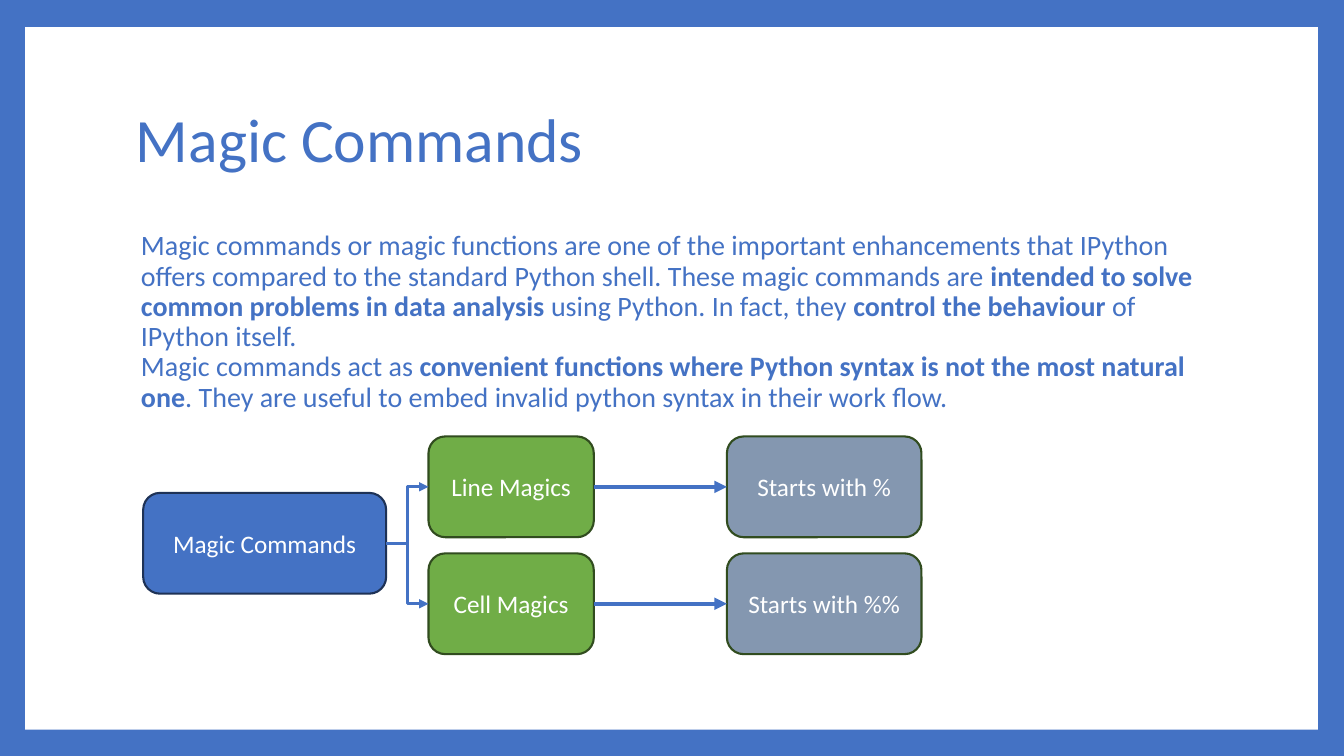
"""Build the Magic Commands slide: a title, an explanation and a small tree of command kinds."""
from lxml.etree import SubElement
from pptx import Presentation
from pptx.dml.color import RGBColor
from pptx.enum.shapes import MSO_CONNECTOR, MSO_SHAPE
from pptx.enum.text import MSO_ANCHOR, PP_ALIGN
from pptx.oxml.ns import qn
from pptx.util import Inches, Pt

TITLE = "Magic Commands"
BODY = [
    [
        ("Magic commands or magic functions are one of the important enhancements that IPython "
         "offers compared to the standard Python shell. These magic commands are ", False),
        ("intended to solve common problems in data analysis ", True),
        ("using Python. In fact, they ", False),
        ("control the behaviour ", True),
        ("of IPython itself. ", False),
    ],
    [
        ("Magic commands act as ", False),
        ("convenient functions where Python syntax is not the most natural one", True),
        (". They are useful to embed invalid python syntax in their work flow.", False),
    ],
]
ROOT = "Magic Commands"
BRANCHES = [("Line Magics", "Starts with %"), ("Cell Magics", "Starts with %%")]

THEME = {
    "font": "Calibri",
    "blue": "4472C4", "white": "FFFFFF", "green": "70AD47", "grey": "8497B0",
    "blue_edge": "1E3256", "green_edge": "314C1F",
    "title": 44, "body": 20, "label": 18,
    "edge": 1.5, "bent": 2.25, "straight": 3,
}
BOX_H = 1
ROOT_X, ROOT_Y, ROOT_W = 1.42, 4.89, 2.41
KIND_X, KIND_W = 4.25, 1.64
PREFIX_X, PREFIX_W = 7.21, 1.93
ROW_Y, ROW_STEP = 4.33, 1.16
LEFT_SITE, RIGHT_SITE = 1, 3


def rgb(name):
    return RGBColor.from_string(THEME[name])


def add_run(p, text, size, color, bold=False):
    r = p.add_run()
    r.text = text
    r.font.name = THEME["font"]
    r.font.size = Pt(THEME[size])
    r.font.color.rgb = rgb(color)
    r.font.bold = bold


def add_text(s, x, y, w, h, anchor):
    tf = s.shapes.add_textbox(Inches(x), Inches(y), Inches(w), Inches(h)).text_frame
    tf.word_wrap = True
    tf.vertical_anchor = anchor
    p = tf.paragraphs[0]
    p.line_spacing = 0.9
    return p


def add_box(s, text, x, y, w, fill, edge):
    sp = s.shapes.add_shape(MSO_SHAPE.ROUNDED_RECTANGLE,
                            Inches(x), Inches(y), Inches(w), Inches(BOX_H))
    sp.shadow.inherit = False
    sp.fill.solid()
    sp.fill.fore_color.rgb = rgb(fill)
    sp.line.color.rgb = rgb(edge)
    sp.line.width = Pt(THEME["edge"])
    tf = sp.text_frame
    tf.word_wrap = True
    tf.vertical_anchor = MSO_ANCHOR.MIDDLE
    p = tf.paragraphs[0]
    p.alignment = PP_ALIGN.CENTER
    add_run(p, text, "label", "white")
    return sp


def add_arrow(s, start, end, kind, width):
    c = s.shapes.add_connector(kind, 0, 0, 0, 0)
    c.begin_connect(start, RIGHT_SITE)
    c.end_connect(end, LEFT_SITE)
    c.line.color.rgb = rgb("blue")
    c.line.width = Pt(THEME[width])
    sp_pr = c.line._get_or_add_ln().getparent()
    SubElement(c.line._get_or_add_ln(), qn("a:tailEnd"), type="triangle")
    SubElement(sp_pr, qn("a:effectLst"))


def main():
    prs = Presentation()
    prs.slide_width, prs.slide_height = Inches(13.33), Inches(7.5)
    s = prs.slides.add_slide(prs.slide_layouts[6])
    s.background.fill.solid()
    s.background.fill.fore_color.rgb = rgb("blue")

    panel = s.shapes.add_shape(MSO_SHAPE.RECTANGLE,
                               Inches(0.25), Inches(0.27), Inches(12.82), Inches(6.97))
    panel.shadow.inherit = False
    panel.fill.solid()
    panel.fill.fore_color.rgb = rgb("white")
    panel.line.fill.background()

    add_run(add_text(s, 1.25, 0.67, 10.8, 1.48, MSO_ANCHOR.MIDDLE), TITLE, "title", "blue")

    p = add_text(s, 1.25, 2.25, 10.8, 1.98, MSO_ANCHOR.TOP)
    p.space_before = Pt(14)
    p._p.get_or_add_pPr().set("marL", str(Inches(0.05)))
    for i, sentence in enumerate(BODY):
        if i:
            p.add_line_break()
        for text, bold in sentence:
            add_run(p, text, "body", "blue", bold)

    root = add_box(s, ROOT, ROOT_X, ROOT_Y, ROOT_W, "blue", "blue_edge")
    for i, (kind, prefix) in enumerate(BRANCHES):
        y = ROW_Y + i * ROW_STEP
        kind_box = add_box(s, kind, KIND_X, y, KIND_W, "green", "green_edge")
        prefix_box = add_box(s, prefix, PREFIX_X, y, PREFIX_W, "grey", "green_edge")
        add_arrow(s, root, kind_box, MSO_CONNECTOR.ELBOW, "bent")
        add_arrow(s, kind_box, prefix_box, MSO_CONNECTOR.STRAIGHT, "straight")

    prs.save("out.pptx")


if __name__ == "__main__":
    main()
